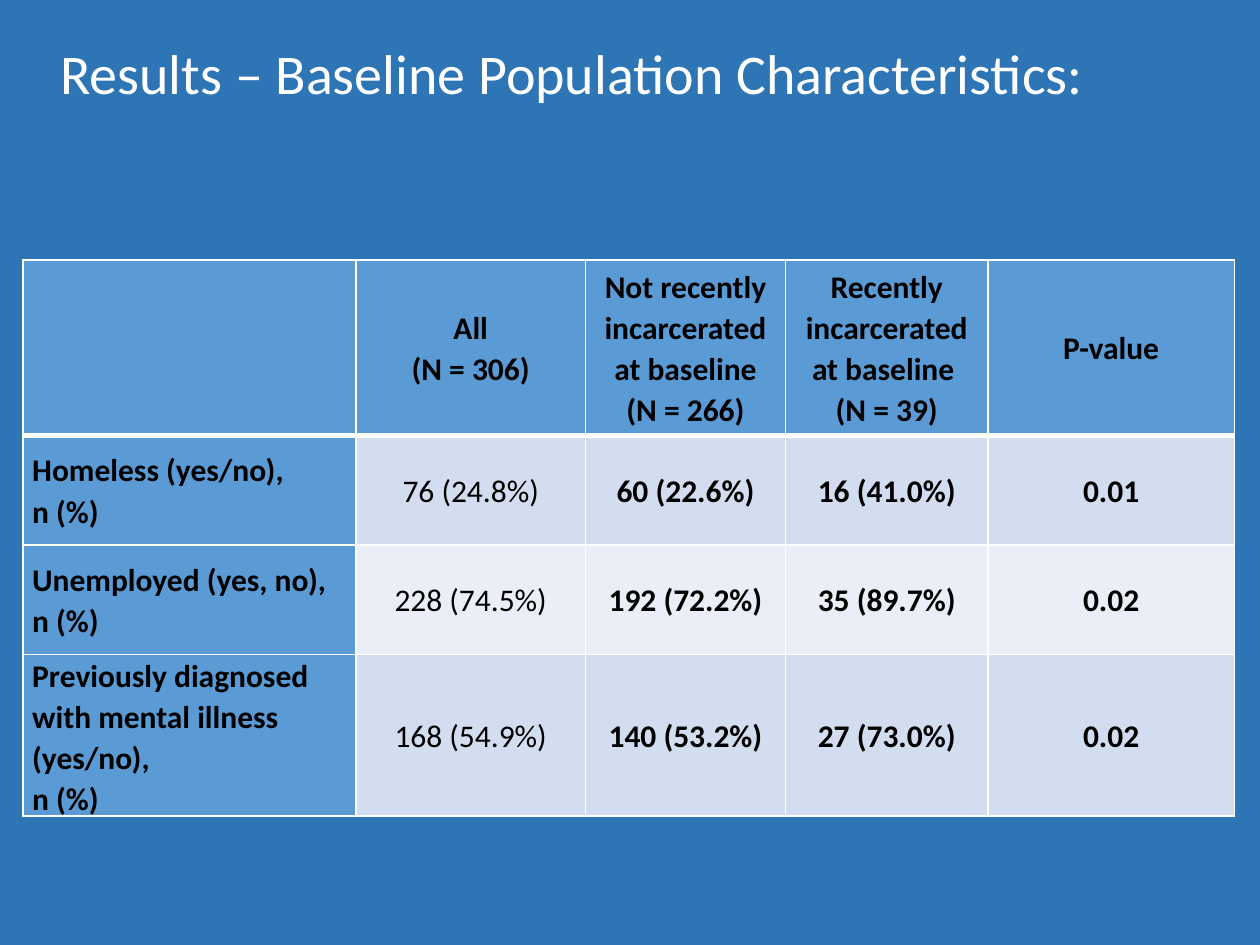
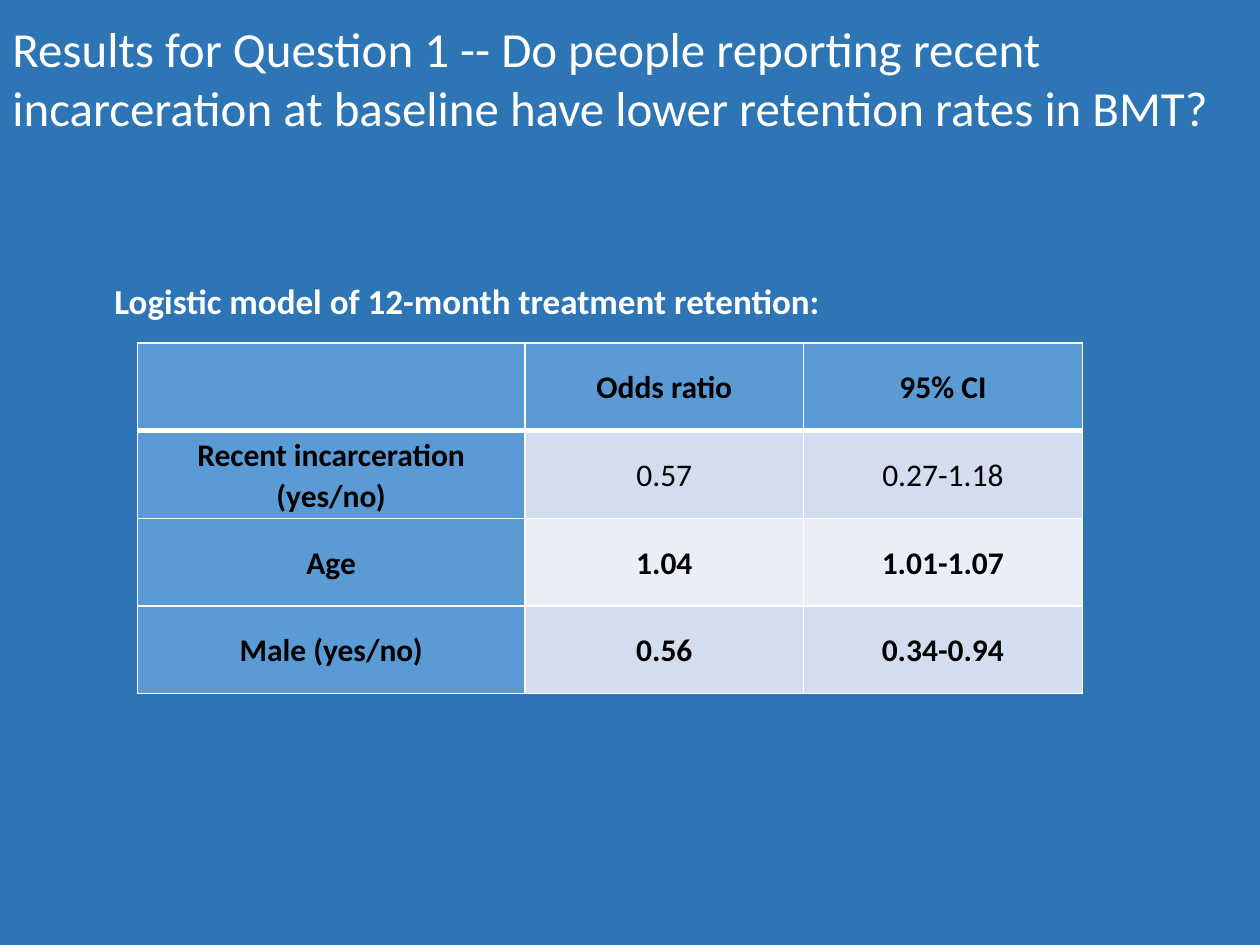
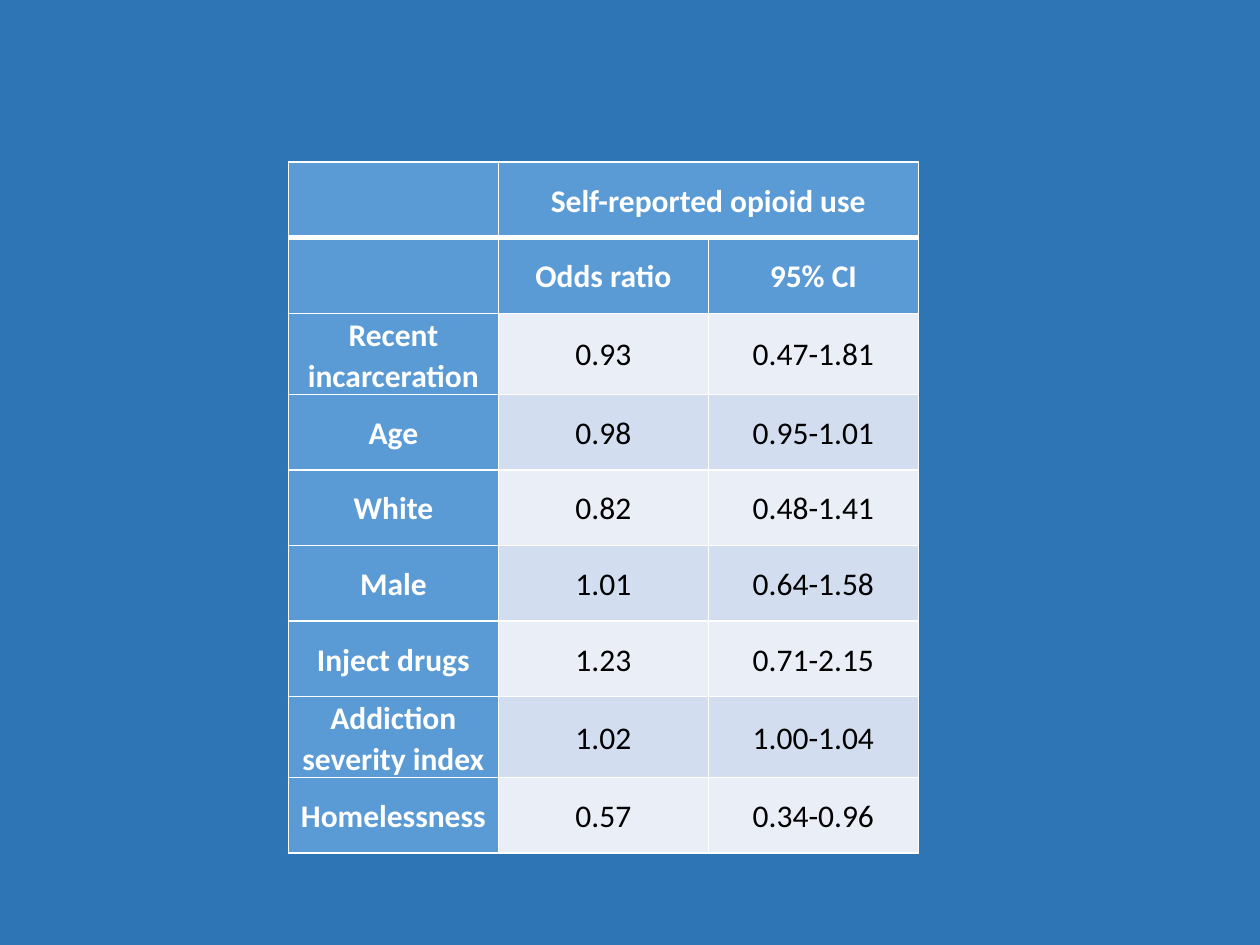
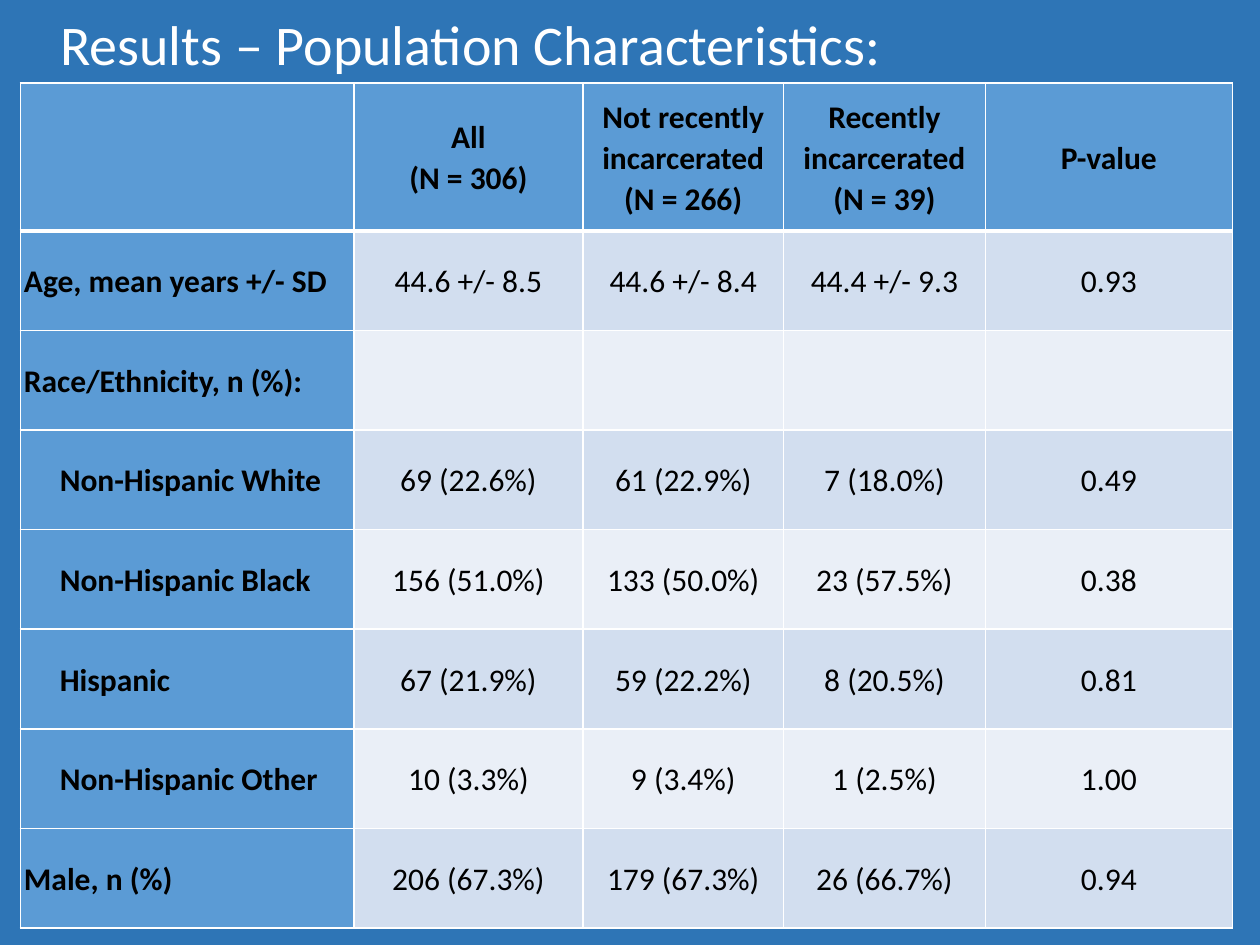
"""Builds four slides of tabulated results on incarceration and treatment retention."""
from lxml.etree import SubElement
from pptx import Presentation
from pptx.dml.color import RGBColor
from pptx.enum.text import MSO_ANCHOR, MSO_AUTO_SIZE, PP_ALIGN
from pptx.oxml.ns import qn
from pptx.util import Pt

COLORS = {
    "background": "2E75B6",
    "header": "5B9BD5",
    "odd_band": "D2DEEF",
    "even_band": "EAEFF7",
    "white": "FFFFFF",
    "black": "000000",
}
FONT = "Calibri"
NARROW_INSET, WIDE_INSET = 2, 5.4
GROUP_COLUMNS = (190.5, 131, 114.5, 115.5, 141)


class Deck:
    def __init__(self):
        self.presentation = Presentation()
        self.presentation.slide_width = Pt(720)
        self.presentation.slide_height = Pt(540)
        self.slide = None

    def new_slide(self):
        self.slide = self.presentation.slides.add_slide(self.presentation.slide_layouts[6])
        self.paint(self.slide.background.fill, "background")

    def paint(self, fill, color):
        fill.solid()
        fill.fore_color.rgb = RGBColor.from_string(COLORS[color])

    def style(self, paragraph, size, color, bold):
        for run in paragraph.runs:
            run.font.name = FONT
            run.font.size = Pt(size)
            run.font.bold = bold
            run.font.color.rgb = RGBColor.from_string(COLORS[color])

    def heading(self, text, left, top, width, height, size=32, bold=False):
        box = self.slide.shapes.add_textbox(Pt(left), Pt(top), Pt(width), Pt(height))
        box.text_frame.word_wrap = True
        box.text_frame.auto_size = MSO_AUTO_SIZE.SHAPE_TO_FIT_TEXT
        box.text_frame.text = text
        self.style(box.text_frame.paragraphs[0], size, "white", bold)

    def borders(self, cell, row):
        widths = {"L": 1, "R": 1, "T": 3 if row == 1 else 1, "B": 3 if row == 0 else 1}
        properties = cell._tc.get_or_add_tcPr()
        for side, width in widths.items():
            line = SubElement(properties, qn(f"a:ln{side}"), w=str(Pt(width)))
            solid = SubElement(line, qn("a:solidFill"))
            SubElement(solid, qn("a:srgbClr"), val=COLORS["white"])

    def cell(self, cell, text, row, fill, color, bold, align, inset):
        self.borders(cell, row)
        self.paint(cell.fill, fill)
        cell.vertical_anchor = MSO_ANCHOR.MIDDLE
        cell.margin_left = cell.margin_right = Pt(inset)
        cell.margin_top = cell.margin_bottom = 0
        cell.text_frame.text = text
        for paragraph in cell.text_frame.paragraphs:
            paragraph.alignment = align
            paragraph.line_spacing = 1.07
            self.style(paragraph, 18, color, bold)

    def table(self, rows, left, top, columns, header_height, row_height, header_rows=1,
              label_color="black", label_align=PP_ALIGN.CENTER, bold_from=None,
              header_inset=WIDE_INSET, body_inset=WIDE_INSET, indented=()):
        heights = [header_height] + [row_height] * (len(rows) - 1)
        table = self.slide.shapes.add_table(
            len(rows), len(columns), Pt(left), Pt(top), Pt(sum(columns)), Pt(sum(heights))).table
        table.first_row = table.horz_banding = False
        for column, width in zip(table.columns, columns):
            column.width = Pt(width)
        for r, (texts, height) in enumerate(zip(rows, heights)):
            table.rows[r].height = Pt(height)
            for c, text in enumerate(texts):
                is_label = r < header_rows or c == 0
                band = "odd_band" if r % 2 else "even_band"
                bold = is_label or bool(bold_from and r >= bold_from[0] and c >= bold_from[1])
                self.cell(
                    table.cell(r, c), text, r,
                    fill="header" if is_label else band,
                    color=label_color if is_label else "black",
                    bold=bold,
                    align=label_align if c == 0 else PP_ALIGN.CENTER,
                    inset=header_inset if r == 0 else body_inset)
        for r in indented:
            label = table.cell(r, 0).text_frame.paragraphs[0]
            label._p.get_or_add_pPr().set("marL", str(Pt(20.5)))
        return table


def baseline_characteristics(deck):
    deck.new_slide()
    deck.heading("Results – Baseline Population Characteristics:", 27.4, 18.7, 692.6, 46)
    rows = [
        ("", "All\n(N = 306)", "Not recently incarcerated at baseline\n(N = 266)",
         "Recently incarcerated at baseline \n(N = 39)", "P-value"),
        ("Homeless (yes/no),\nn (%)", "76 (24.8%)", "60 (22.6%)", "16 (41.0%)", "0.01"),
        ("Unemployed (yes, no),\nn (%)", "228 (74.5%)", "192 (72.2%)", "35 (89.7%)", "0.02"),
        ("Previously diagnosed with mental illness (yes/no),\nn (%)",
         "168 (54.9%)", "140 (53.2%)", "27 (73.0%)", "0.02"),
    ]
    deck.table(rows, 13, 148.5, GROUP_COLUMNS, 100.5, 62.5, label_align=PP_ALIGN.LEFT,
               bold_from=(1, 2), header_inset=NARROW_INSET)


def retention_model(deck):
    deck.new_slide()
    rows = [
        ("", "Odds ratio", "95% CI"),
        ("Recent incarceration (yes/no)", "0.57", "0.27-1.18"),
        ("Age", "1.04", "1.01-1.07"),
        ("Male (yes/no)", "0.56", "0.34-0.94"),
    ]
    deck.table(rows, 78.5, 196, (221.5, 159.25, 159.25), 50.1, 50.1, bold_from=(2, 1))
    deck.heading("Logistic model of 12-month treatment retention:",
                 58.3, 156.2, 511, 31.5, size=20, bold=True)
    deck.heading("Results for Question 1 -- Do people reporting recent incarceration "
                 "at baseline have lower retention rates in BMT?", 0, 7.2, 710, 75, size=28)


def opioid_use_model(deck):
    deck.new_slide()
    rows = [
        ("", "Self-reported opioid use", ""),
        ("", "Odds ratio", "95% CI"),
        ("Recent incarceration", "0.93", "0.47-1.81"),
        ("Age", "0.98", "0.95-1.01"),
        ("White", "0.82", "0.48-1.41"),
        ("Male", "1.01", "0.64-1.58"),
        ("Inject drugs", "1.23", "0.71-2.15"),
        ("Addiction severity index", "1.02", "1.00-1.04"),
        ("Homelessness", "0.57", "0.34-0.96"),
    ]
    table = deck.table(rows, 164.8, 92.7, (120, 120, 120), 43.2, 43.2,
                       header_rows=2, label_color="white")
    table.cell(0, 1).merge(table.cell(0, 2))


def population_characteristics(deck):
    deck.new_slide()
    deck.heading("Results – Population Characteristics:", 27.4, 1.7, 692.6, 46)
    rows = [
        ("", "All\n(N = 306)", "Not recently incarcerated\n(N = 266)",
         "Recently incarcerated (N = 39)", "P-value"),
        ("Age, mean years +/- SD", "44.6 +/- 8.5", "44.6 +/- 8.4", "44.4 +/- 9.3", "0.93"),
        ("Race/Ethnicity, n (%):", "", "", "", ""),
        ("Non-Hispanic White", "69 (22.6%)", "61 (22.9%)", "7 (18.0%)", "0.49"),
        ("Non-Hispanic Black", "156 (51.0%)", "133 (50.0%)", "23 (57.5%)", "0.38"),
        ("Hispanic", "67 (21.9%)", "59 (22.2%)", "8 (20.5%)", "0.81"),
        ("Non-Hispanic Other", "10 (3.3%)", "9 (3.4%)", "1 (2.5%)", "1.00"),
        ("Male, n (%)", "206 (67.3%)", "179 (67.3%)", "26 (66.7%)", "0.94"),
    ]
    deck.table(rows, 11.7, 47.5, GROUP_COLUMNS, 84.5, 56.9, label_align=PP_ALIGN.LEFT,
               header_inset=NARROW_INSET, body_inset=NARROW_INSET, indented=range(3, 7))


def main():
    deck = Deck()
    baseline_characteristics(deck)
    retention_model(deck)
    opioid_use_model(deck)
    population_characteristics(deck)
    deck.presentation.save("out.pptx")


if __name__ == "__main__":
    main()
